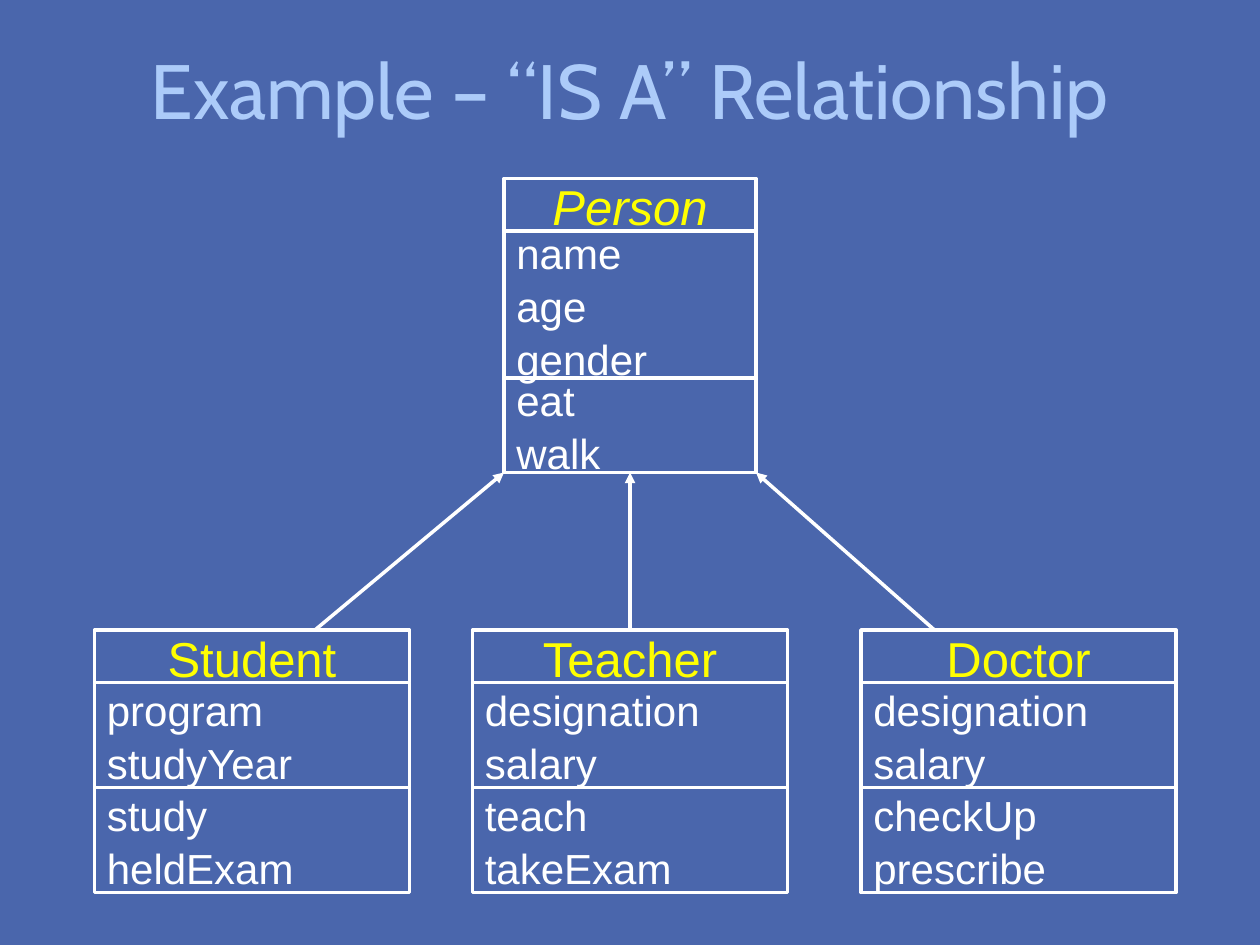
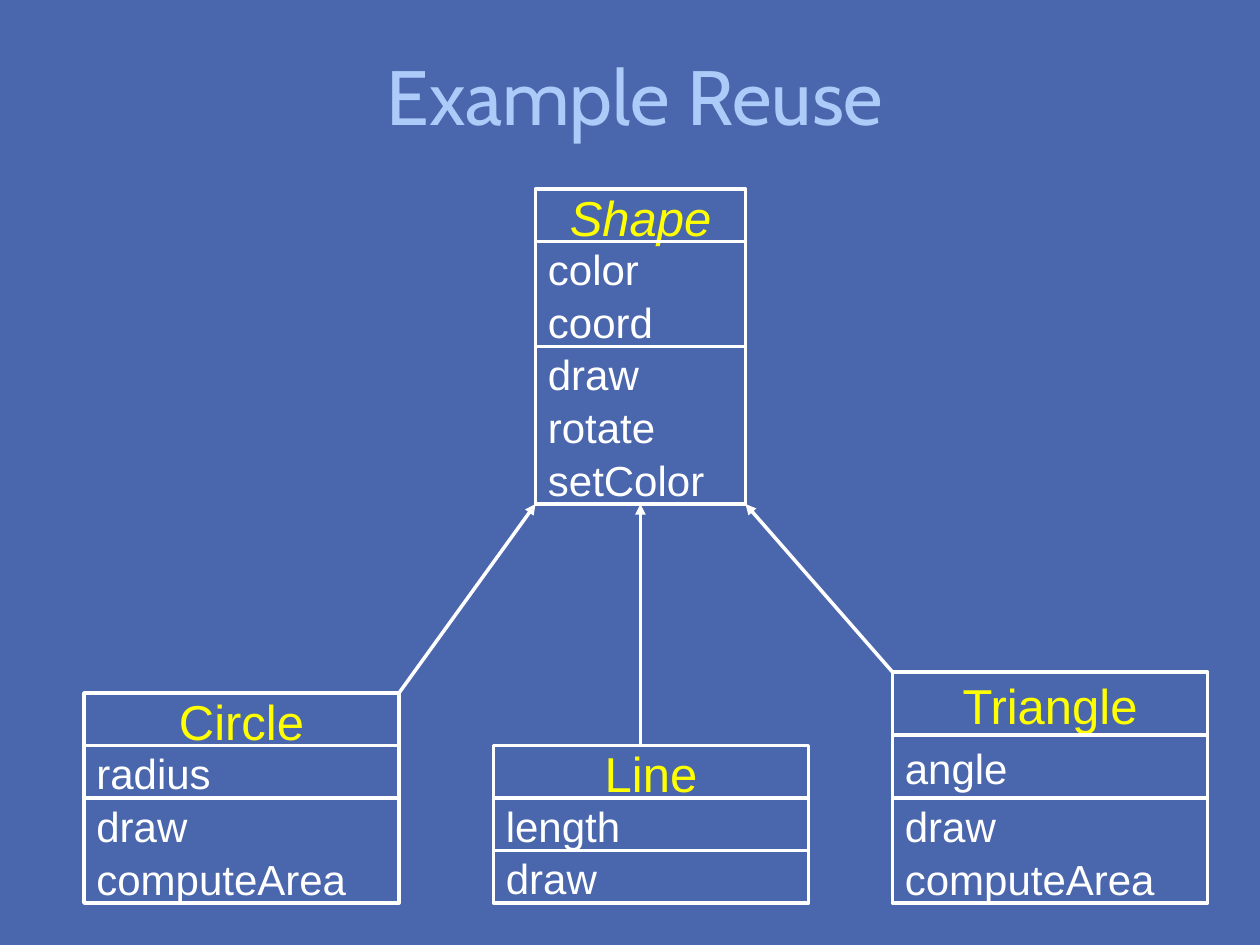
from dataclasses import dataclass

from lxml import etree
from pptx import Presentation
from pptx.dml.color import RGBColor
from pptx.enum.shapes import MSO_CONNECTOR as CONN, MSO_SHAPE as SHAPE
from pptx.enum.text import MSO_ANCHOR as ANCHOR, PP_ALIGN as ALIGN
from pptx.oxml.ns import qn
from pptx.slide import Slide
from pptx.text.text import TextFrame
from pptx.util import Pt

COLORS = {"background": "4A66AC", "title": "ACCBF9", "name": "FFFF00",
          "member": "FFFFFF", "line": "FFFFFF"}
TITLE_FONT, BODY_FONT = "Cabin", "Arial"
TITLE_SIZE, NAME_SIZE, MEMBER_SIZE = 44, 28, 24
LINE_WIDTH = 2
LINE_SPACING = 1.05


@dataclass(frozen=True)
class ClassBox:
    """A class with its three compartments; heights run from top to bottom."""
    name: str
    attributes: list[str]
    methods: list[str]
    left: float
    top: float
    heights: tuple[float, float, float]
    width: float = 180
    abstract: bool = False

    @property
    def bottom(self) -> float:
        return self.top + sum(self.heights)


@dataclass(frozen=True)
class Diagram:
    """A parent class and its children, left to right, with their arrow starts."""
    title: str
    title_area: tuple[float, float, float, float]
    parent: ClassBox
    children: list[ClassBox]
    arrow_starts: list[float]


DIAGRAMS = [
    Diagram(
        "Example – “IS A” Relationship", (24, 18, 672, 63),
        ClassBox("Person", ["name", "age", "gender"], ["eat", "walk"],
                 288, 102, (30, 84, 54), 144, abstract=True),
        [ClassBox("Student", ["program", "studyYear"], ["study", "heldExam"],
                  54, 360, (30, 60, 60)),
         ClassBox("Teacher", ["designation", "salary"], ["teach", "takeExam"],
                  270, 360, (30, 60, 60)),
         ClassBox("Doctor", ["designation", "salary"], ["checkUp", "prescribe"],
                  492, 360, (30, 60, 60))],
        [180, 360, 534]),
    Diagram(
        "Example Reuse", (36, 21.5, 654, 63),
        ClassBox("Shape", ["color", "coord"], ["draw", "rotate", "setColor"],
                 306, 108, (30, 60, 90), 120, abstract=True),
        [ClassBox("Circle", ["radius"], ["draw", "computeArea"],
                  48, 396, (30, 30, 60)),
         ClassBox("Line", ["length"], ["draw"],
                  282, 426, (30, 30, 30)),
         ClassBox("Triangle", ["angle"], ["draw", "computeArea"],
                  510, 384, (36, 36, 60))],
        [228, 366, 510]),
]


def color(key: str) -> RGBColor:
    return RGBColor.from_string(COLORS[key])


def write(tf: TextFrame, lines: list[str], font: str, size: float, key: str,
          align: ALIGN, italic: bool = False) -> None:
    tf.vertical_anchor = ANCHOR.MIDDLE
    for i, line in enumerate(lines):
        p = tf.add_paragraph() if i else tf.paragraphs[0]
        p.alignment = align
        p.line_spacing = LINE_SPACING
        r = p.add_run()
        r.text = line
        r.font.name = font
        r.font.size = Pt(size)
        r.font.italic = italic
        r.font.color.rgb = color(key)


def add_title(s: Slide, text: str, area: tuple[float, float, float, float]) -> None:
    sp = s.shapes.title
    sp.left, sp.top, sp.width, sp.height = map(Pt, area)
    write(sp.text_frame, [text], TITLE_FONT, TITLE_SIZE, "title", ALIGN.CENTER)


def add_class(s: Slide, box: ClassBox) -> None:
    top = box.top
    compartments = [[box.name], box.attributes, box.methods]
    for i, (lines, height) in enumerate(zip(compartments, box.heights)):
        sp = s.shapes.add_shape(SHAPE.RECTANGLE, Pt(box.left), Pt(top),
                                Pt(box.width), Pt(height))
        sp.shadow.inherit = False
        sp.fill.background()
        sp.line.color.rgb = color("line")
        sp.line.width = Pt(LINE_WIDTH)
        tf = sp.text_frame
        tf.word_wrap = False
        if i == 0:
            write(tf, lines, BODY_FONT, NAME_SIZE, "name", ALIGN.CENTER, box.abstract)
        else:
            write(tf, lines, BODY_FONT, MEMBER_SIZE, "member", ALIGN.LEFT)
        top += height


def add_arrow(s: Slide, x1: float, y1: float, x2: float, y2: float) -> None:
    arrow = s.shapes.add_connector(CONN.STRAIGHT, Pt(x1), Pt(y1), Pt(x2), Pt(y2))
    arrow.line.color.rgb = color("line")
    arrow.line.width = Pt(LINE_WIDTH)
    etree.SubElement(arrow.line._get_or_add_ln(), qn("a:tailEnd"), type="triangle")
    etree.SubElement(arrow._element.spPr, qn("a:effectLst"))


def add_diagram(prs: Presentation, diagram: Diagram) -> None:
    s = prs.slides.add_slide(prs.slide_layouts.get_by_name("Title Only"))
    add_title(s, diagram.title, diagram.title_area)
    parent = diagram.parent
    for box in [parent, *diagram.children]:
        add_class(s, box)
    # Arrows meet the parent's bottom edge at its left, middle and right.
    for i, (child, start) in enumerate(zip(diagram.children, diagram.arrow_starts)):
        add_arrow(s, start, child.top, parent.left + i * parent.width / 2, parent.bottom)


def main() -> None:
    prs = Presentation()
    prs.slide_width, prs.slide_height = Pt(720), Pt(540)
    fill = prs.slide_master.background.fill
    fill.solid()
    fill.fore_color.rgb = color("background")
    for diagram in DIAGRAMS:
        add_diagram(prs, diagram)
    prs.save("out.pptx")


if __name__ == "__main__":
    main()
